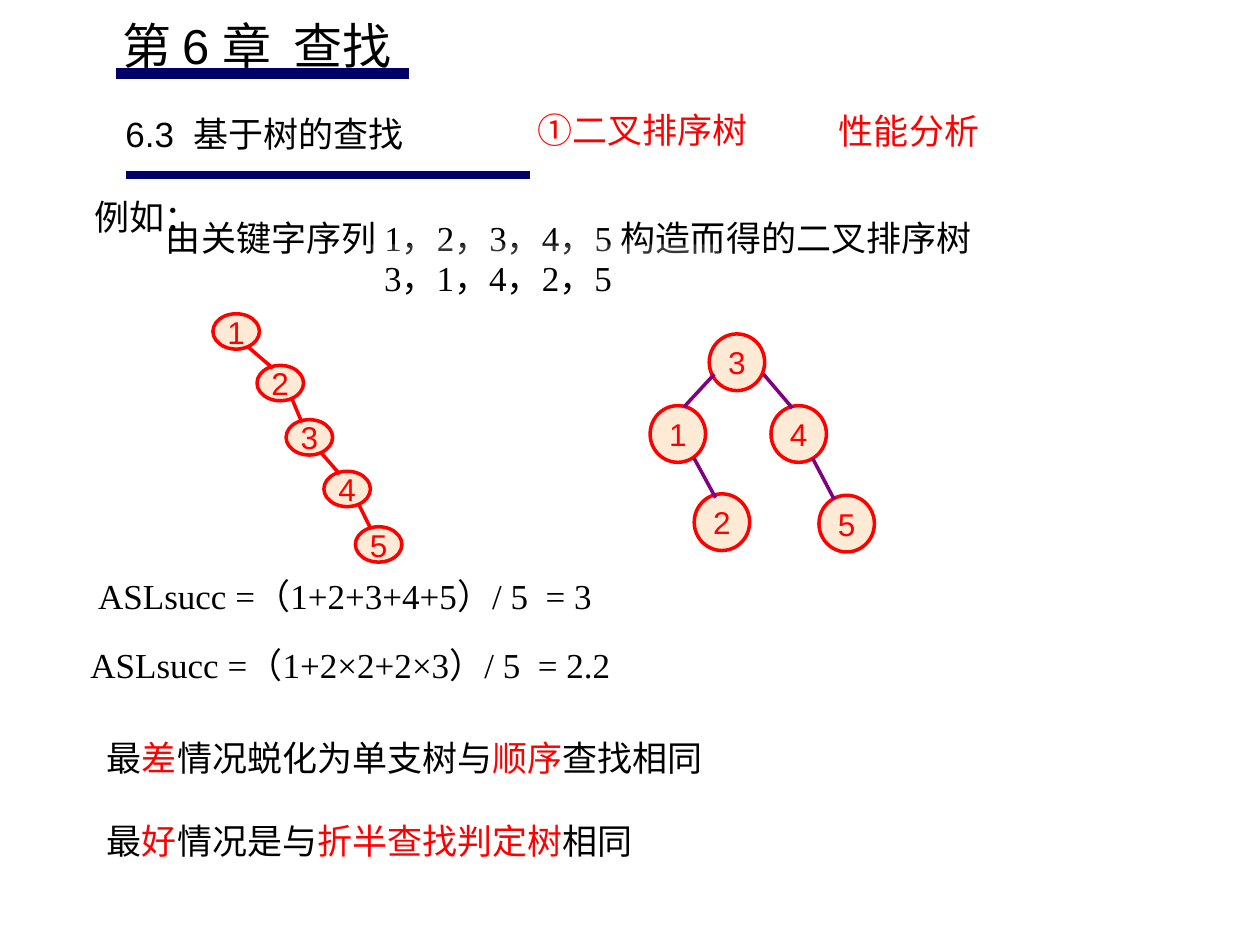
from dataclasses import dataclass

from lxml.etree import SubElement
from pptx import Presentation
from pptx.dml.color import RGBColor
from pptx.enum.shapes import MSO_CONNECTOR, MSO_SHAPE
from pptx.enum.text import MSO_ANCHOR, MSO_AUTO_SIZE, PP_ALIGN
from pptx.oxml.ns import qn
from pptx.util import Pt


@dataclass(frozen=True)
class Theme:
    ink: str = "000000"
    red: str = "FF0000"
    navy: str = "000066"
    purple: str = "800080"
    peach: str = "FFEAD5"
    white: str = "FFFFFF"
    sans: str = "Arial"
    serif: str = "Times New Roman"
    title: int = 28
    body: int = 20
    node: int = 18


THEME = Theme()


def rgb(code):
    return RGBColor.from_string(code)


def style(para, face, size, color):
    para.font.name = face
    para.font.size = Pt(size)
    para.font.color.rgb = rgb(color)


def write(shape, text, face=THEME.serif, color=THEME.ink, size=THEME.body, space=None):
    """Fill a shape with one line; parts between bars are red."""
    frame = shape.text_frame
    frame.word_wrap = True
    frame.auto_size = MSO_AUTO_SIZE.NONE
    frame.vertical_anchor = MSO_ANCHOR.TOP
    para = frame.paragraphs[0]
    para.alignment = PP_ALIGN.LEFT
    style(para, face, size, color)
    if space:
        para.line_spacing = space
    for i, part in enumerate(text.split("|")):
        run = para.add_run()
        run.text = part
        if i % 2:
            run.font.color.rgb = rgb(THEME.red)


def label(slide, box, text, **look):
    write(slide.shapes.add_textbox(*map(Pt, box)), text, **look)


def rule(shapes, start, end, color, width):
    line = shapes.add_connector(MSO_CONNECTOR.STRAIGHT, *map(Pt, (*start, *end)))
    line.line.color.rgb = rgb(color)
    line.line.width = Pt(width)
    SubElement(line._element.spPr, qn("a:effectLst"))


def node(shapes, box, text):
    oval = shapes.add_shape(MSO_SHAPE.OVAL, *map(Pt, box))
    oval.shadow.inherit = False
    oval.fill.solid()
    oval.fill.fore_color.rgb = rgb(THEME.peach)
    oval.line.color.rgb = rgb(THEME.red)
    oval.line.width = Pt(2)
    frame = oval.text_frame
    frame.word_wrap = False
    frame.vertical_anchor = MSO_ANCHOR.MIDDLE
    para = frame.paragraphs[0]
    para.text = text
    para.alignment = PP_ALIGN.CENTER
    style(para, THEME.sans, THEME.node, THEME.red)


def tree(slide, origin, size, nodes, edges, color):
    """Draw a tree; each edge holds parent, child and its end offsets in their boxes."""
    shapes = slide.shapes.add_group_shape().shapes
    spots = {key: (origin[0] + x, origin[1] + y) for key, (x, y) in nodes.items()}

    def shift(key, gap):
        return spots[key][0] + gap[0], spots[key][1] + gap[1]

    for key, spot in spots.items():
        node(shapes, (*spot, *size), key)
    for top, low, start, end in edges:
        rule(shapes, shift(top, start), shift(low, end), color, 2)


def header(slide, left, top):
    title = slide.shapes.title
    title.left, title.top, title.width, title.height = map(Pt, (left, top, 184, 41))
    write(title, "第 6 章  查找", face=THEME.sans, size=THEME.title)
    rule(slide.shapes, (left + 3.6, top + 37), (left + 171, top + 37), THEME.navy, 6)
    rule(slide.shapes, (left + 9.4, top + 95), (left + 240.5, top + 95), THEME.navy, 4.25)
    heads = (
        (2, 55.5, 261, "6.3  基于树的查找", THEME.ink),
        (237.6, 53.5, 247, "①二叉排序树", THEME.red),
        (409.7, 54, 171, "性能分析", THEME.red),
    )
    for x, y, width, text, color in heads:
        label(slide, (left + x, top + y, width, 32), text, face=THEME.sans, color=color)


def example(slide, left, top):
    label(slide, (left, top, 126, 32), "例如：")
    label(slide, (left + 41, top + 8.6, 679, 35),
          "由关键字序列 1，2，3，4，5 构造而得的二叉排序树", space=1.15)


def chain(slide, left, top):
    """Single-branch tree."""
    nodes = {"1": (0, 0), "2": (25.2, 29.5), "3": (41.8, 68.5 - 8),
             "4": (63.4, 90), "5": (81.4, 121.7)}
    keys = list(nodes)
    edges = [(a, b, (19.8, 18.7), (9, 1.6)) for a, b in zip(keys, keys[1:])]
    tree(slide, (left, top), (26.6, 20.2), nodes, edges, THEME.red)


def branch(slide, left, top):
    """Balanced tree."""
    nodes = {"3": (33.8, 0), "1": (0, 41), "4": (69.1, 41),
             "2": (25.2, 91.4), "5": (96.5, 92.2)}
    edges = (
        ("3", "1", (2.9, 23), (19.4, 0.7)),
        ("3", "4", (31, 23), (12.2, 1.4)),
        ("1", "2", (25.2, 30.2), (12.2, 2.2)),
        ("4", "5", (23.8, 30.2), (8.6, 2.2)),
    )
    tree(slide, (left, top), (31.7, 32.4), nodes, edges, THEME.purple)


def results(slide, left, top):
    label(slide, (left + 4, top, 504, 35), "ASLsucc =（1+2+3+4+5）/ 5  = 3", space=1.15)
    label(slide, (left - 0.4, top + 39.6, 485, 35),
          "ASLsucc =（1+2×2+2×3）/ 5  = 2.2", space=1.15)
    lines = ("最|差|情况蜕化为单支树与|顺序|查找相同",
             "最|好|情况是与|折半查找判定树|相同")
    for i, text in enumerate(lines):
        label(slide, (left + 9, top + 96.5 + 47.5 * i, 600, 32), text)


def order(slide, box):
    """Second key sequence on a faint white panel."""
    panel = slide.shapes.add_shape(MSO_SHAPE.RECTANGLE, *map(Pt, box))
    panel.shadow.inherit = False
    panel.line.fill.background()
    panel.fill.solid()
    panel.fill.fore_color.rgb = rgb(THEME.white)
    tint = panel._element.spPr.find(qn("a:solidFill"))[0]
    SubElement(tint, qn("a:alpha"), val="21000")
    write(panel, "3，1，4，2，5", space=1.15)


def main():
    deck = Presentation()
    deck.slide_width, deck.slide_height = Pt(720), Pt(540)
    slide = deck.slides.add_slide(deck.slide_layouts[5])
    header(slide, 62.6, 5)
    example(slide, 46.8, 108)
    chain(slide, 121.7, 179.3)
    branch(slide, 371.5, 190.8)
    results(slide, 45, 321)
    order(slide, (212.4, 139.7, 198.7, 35))
    deck.save("out.pptx")


if __name__ == "__main__":
    main()
